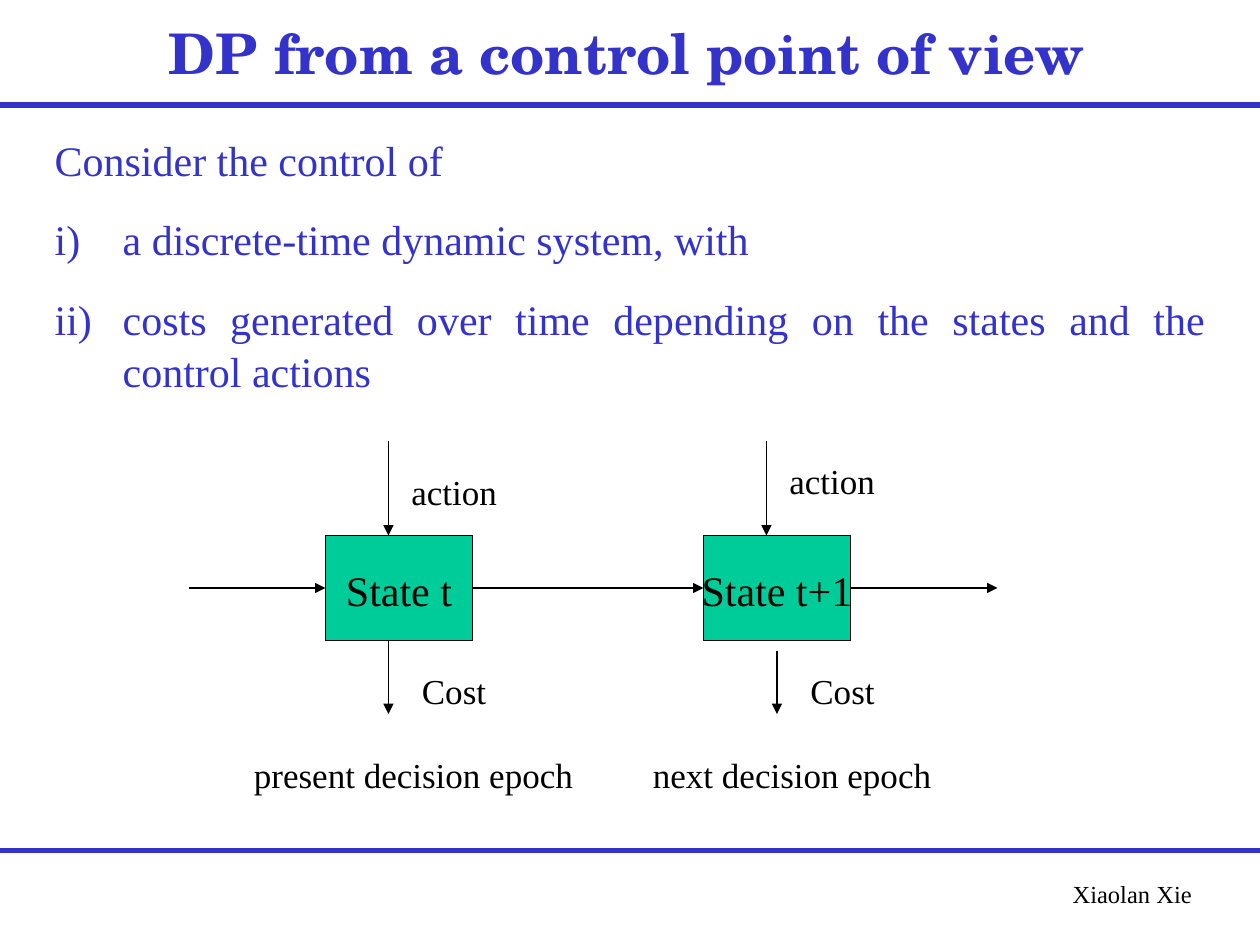
from lxml import etree
from pptx import Presentation
from pptx.dml.color import RGBColor
from pptx.enum.shapes import MSO_CONNECTOR, MSO_SHAPE
from pptx.enum.text import MSO_ANCHOR, MSO_AUTO_SIZE, PP_ALIGN
from pptx.oxml.ns import qn
from pptx.util import Inches, Pt

COLORS = {"blue": "3333CC", "green": "00CC99", "black": "000000"}
SERIF = "Times New Roman"

prs = Presentation()
prs.slide_width, prs.slide_height = Inches(10), Inches(7.5)
slide = prs.slides.add_slide(prs.slide_layouts[1])

# Grid of 120 columns by 90 rows
CELL = prs.slide_width / 120


def write(paragraph, text, size, color="black", font=SERIF, bold=False,
          align=PP_ALIGN.LEFT, spacing=1.05):
    paragraph.alignment = align
    paragraph.line_spacing = spacing
    run = paragraph.add_run()
    run.text = text
    run.font.name, run.font.size, run.font.bold = font, Pt(size), bold
    run.font.color.rgb = RGBColor.from_string(COLORS[color])


def draw_line(x1, y1, x2, y2, color="black", width=0.75, arrow=True):
    line = slide.shapes.add_connector(
        MSO_CONNECTOR.STRAIGHT, *(round(v * CELL) for v in (x1, y1, x2, y2)))
    line.line.color.rgb = RGBColor.from_string(COLORS[color])
    line.line.width = Pt(width)
    if arrow:
        etree.SubElement(line.line._get_or_add_ln(), qn("a:tailEnd"), type="triangle")
    etree.SubElement(line._element.spPr, qn("a:effectLst"))


# Rules above and below the content
for rule_row in (81, 10):
    draw_line(0, rule_row, 120, rule_row, "blue", 3, arrow=False)

# Title
title = slide.shapes.title
title.left, title.top, title.width, title.height = (
    round(v * CELL) for v in (5, 1, 111, 8))
title.text_frame.auto_size = MSO_AUTO_SIZE.NONE
title.text_frame.vertical_anchor = MSO_ANCHOR.MIDDLE
write(title.text_frame.paragraphs[0], "DP from a control point of view ", 32,
      "blue", "TeX Gyre Schola", True, PP_ALIGN.CENTER, 1.0)

# Introduction with a roman-numbered list
intro = slide.placeholders[1]
intro.left, intro.top, intro.width, intro.height = (
    round(v * CELL) for v in (4, 12, 112, 25.4))
intro.text_frame.auto_size = MSO_AUTO_SIZE.NONE
INTRO_LINES = [
    "Consider the control of",
    "a discrete-time dynamic system, with",
    "costs generated over time depending on the states and the control actions",
]
for index, sentence in enumerate(INTRO_LINES):
    frame = intro.text_frame
    paragraph = frame.add_paragraph() if index else frame.paragraphs[0]
    props = paragraph._p.get_or_add_pPr()
    props.set("marL", str(Inches(0.54)))
    props.set("indent", str(-Inches(0.54)))
    if index:
        bullet_color = etree.SubElement(props, qn("a:buClr"))
        etree.SubElement(bullet_color, qn("a:srgbClr"), val=COLORS["blue"])
        etree.SubElement(props, qn("a:buFont"), typeface=SERIF)
        etree.SubElement(props, qn("a:buAutoNum"), type="romanLcParenR")
    else:
        etree.SubElement(props, qn("a:buNone"))
    paragraph.space_before = Pt(15 if index else 0)
    write(paragraph, sentence, 24, "blue", align=PP_ALIGN.JUSTIFY)

# State boxes
for column, state in ((31, "State t"), (67, "State t+1")):
    box = slide.shapes.add_shape(
        MSO_SHAPE.RECTANGLE, *(round(v * CELL) for v in (column, 51, 14, 10)))
    box.shadow.inherit = False
    box.fill.solid()
    box.fill.fore_color.rgb = RGBColor.from_string(COLORS["green"])
    box.line.color.rgb = RGBColor.from_string(COLORS["black"])
    box.line.width = Pt(0.75)
    box.text_frame.word_wrap = False
    box.text_frame.vertical_anchor = MSO_ANCHOR.MIDDLE
    write(box.text_frame.paragraphs[0], state, 24, align=PP_ALIGN.CENTER)

# Transitions between states
for start, end in ((18, 31), (45, 67), (81, 95)):
    draw_line(start, 56, end, 56)

# Actions coming in and costs going out
for column, start, end in ((37, 42, 51), (37, 61, 68), (73, 42, 51), (74, 62, 68)):
    draw_line(column, start, column, end)

# Labels and author: column, row, width, text, size, alignment
LABELS = [
    (38, 44, 12, "action", 20, PP_ALIGN.LEFT),
    (74, 43, 12, "action", 20, PP_ALIGN.LEFT),
    (39, 63, 12, "Cost", 20, PP_ALIGN.LEFT),
    (76, 63, 12, "Cost", 20, PP_ALIGN.LEFT),
    (23, 71, 33, "present decision epoch", 20, PP_ALIGN.LEFT),
    (61, 71, 33, "next decision epoch", 20, PP_ALIGN.LEFT),
    (87.7, 83, 27, "Xiaolan Xie", 14, PP_ALIGN.RIGHT),
]
for column, row, width, text, size, align in LABELS:
    height = 5.3 if size == 20 else 4.1
    label = slide.shapes.add_textbox(
        *(round(v * CELL) for v in (column, row, width, height)))
    label.text_frame.word_wrap = True
    write(label.text_frame.paragraphs[0], text, size, align=align)

prs.save("out.pptx")
